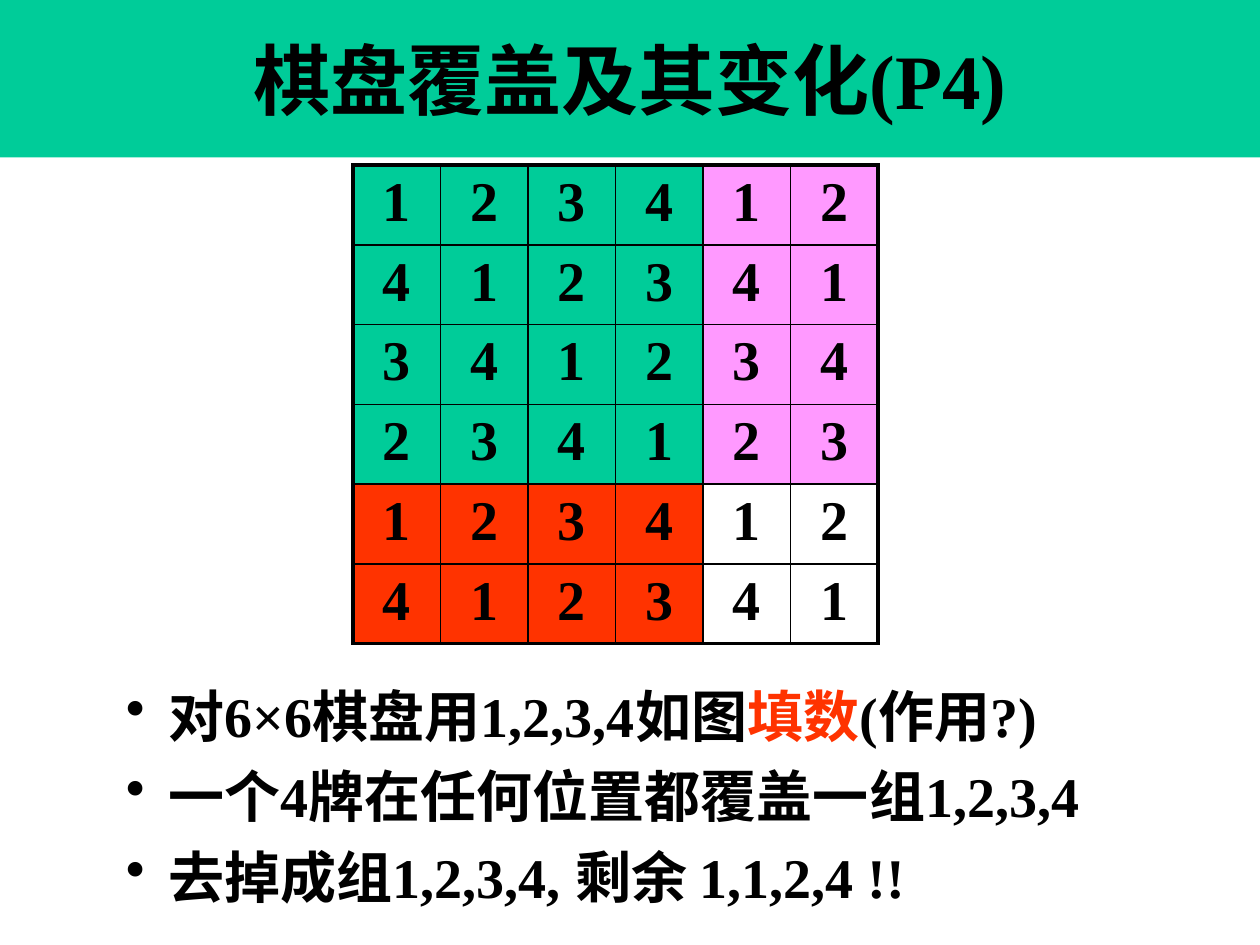
from lxml import etree
from pptx import Presentation
from pptx import util as u
from pptx.dml.color import RGBColor
from pptx.enum import shapes, text
from pptx.oxml.ns import qn

COLORS = {"green": "00CC99", "pink": "FF99FF", "red": "FF3300", "black": "000000"}
FONT = {"name": "Times New Roman", "bold": True}
SIZE = 6  # squares on each side of the board
CORE = 4  # squares before the fill changes


def rgb(color):
    return RGBColor.from_string(COLORS[color])


def add_run(paragraph, words, size, color="black"):
    run = paragraph.add_run()
    run.text = words
    for key, value in {**FONT, "size": u.Pt(size)}.items():
        setattr(run.font, key, value)
    run.font.color.rgb = rgb(color)


def set_borders(cell, widths):
    properties = cell._tc.get_or_add_tcPr()
    for index, (side, width) in enumerate(widths.items()):
        line = etree.Element(qn("a:" + side), w=str(u.Pt(width)))
        fill = etree.SubElement(line, qn("a:solidFill"))
        etree.SubElement(fill, qn("a:srgbClr"), val=COLORS["black"])
        properties.insert(index, line)


def add_title(slide, left, top, width, height):
    band = slide.shapes.add_shape(shapes.MSO_SHAPE.RECTANGLE, u.Inches(left),
                                  u.Inches(top), u.Inches(width), u.Inches(height))
    band.shadow.inherit = False
    band.fill.solid()
    band.fill.fore_color.rgb = rgb("green")
    band.line.fill.background()
    frame = band.text_frame
    frame.vertical_anchor = text.MSO_ANCHOR.MIDDLE
    paragraph = frame.paragraphs[0]
    paragraph.alignment = text.PP_ALIGN.CENTER
    add_run(paragraph, "棋盘覆盖及其变化(P4)", 44)


def region_color(row, column):
    if row < CORE:
        return "green" if column < CORE else "pink"
    return "red" if column < CORE else None


def add_board(slide, left, top, width, height):
    table = slide.shapes.add_table(SIZE, SIZE, u.Inches(left), u.Inches(top),
                                   u.Inches(width), u.Inches(height)).table
    table.first_row = table.horz_banding = False
    for index in range(SIZE):
        table.columns[index].width = u.Inches(width / SIZE)
        table.rows[index].height = u.Inches(height / SIZE)
    last = SIZE - 1
    for row in range(SIZE):
        for column in range(SIZE):
            cell = table.cell(row, column)
            color = region_color(row, column)
            if color:
                cell.fill.solid()
                cell.fill.fore_color.rgb = rgb(color)
            else:
                cell.fill.background()
            # Thick lines only around the outside
            outer = {"lnL": column == 0, "lnR": column == last,
                     "lnT": row == 0, "lnB": row == last}
            set_borders(cell, {side: 2.25 if edge else 1 for side, edge in outer.items()})
            # Numbers 1 to 4 repeat along each row, shifted by one per row
            paragraph = cell.text_frame.paragraphs[0]
            paragraph.alignment = text.PP_ALIGN.CENTER
            add_run(paragraph, str((column - row) % 4 + 1), 32)


def add_bullets(slide, left, top, width, height, items):
    box = slide.shapes.add_textbox(u.Inches(left), u.Inches(top),
                                   u.Inches(width), u.Inches(height))
    frame = box.text_frame
    frame.word_wrap = True
    for index, runs in enumerate(items):
        paragraph = frame.add_paragraph() if index else frame.paragraphs[0]
        paragraph.line_spacing = 1.2
        properties = paragraph._p.get_or_add_pPr()
        indent = u.Inches(0.34)
        properties.set("marL", str(indent))
        properties.set("indent", str(-indent))
        etree.SubElement(properties, qn("a:buChar"), char="•")
        for words, color in runs:
            add_run(paragraph, words, 32, color)


def main():
    presentation = Presentation()
    presentation.slide_width, presentation.slide_height = u.Inches(10), u.Inches(7.5)
    slide = presentation.slides.add_slide(presentation.slide_layouts[6])
    add_title(slide, 0, 0, 10, 1.25)
    add_board(slide, 2.8, 1.31, 4.17, 3.8)
    add_bullets(slide, 0.9, 5.25, 8.43, 2.02, [
        [("对6×6棋盘用1,2,3,4如图", "black"), ("填数", "red"), ("(作用?)", "black")],
        [("一个4牌在任何位置都覆盖一组1,2,3,4", "black")],
        [("去掉成组1,2,3,4, 剩余 1,1,2,4 !!", "black")],
    ])
    presentation.save("out.pptx")


main()
